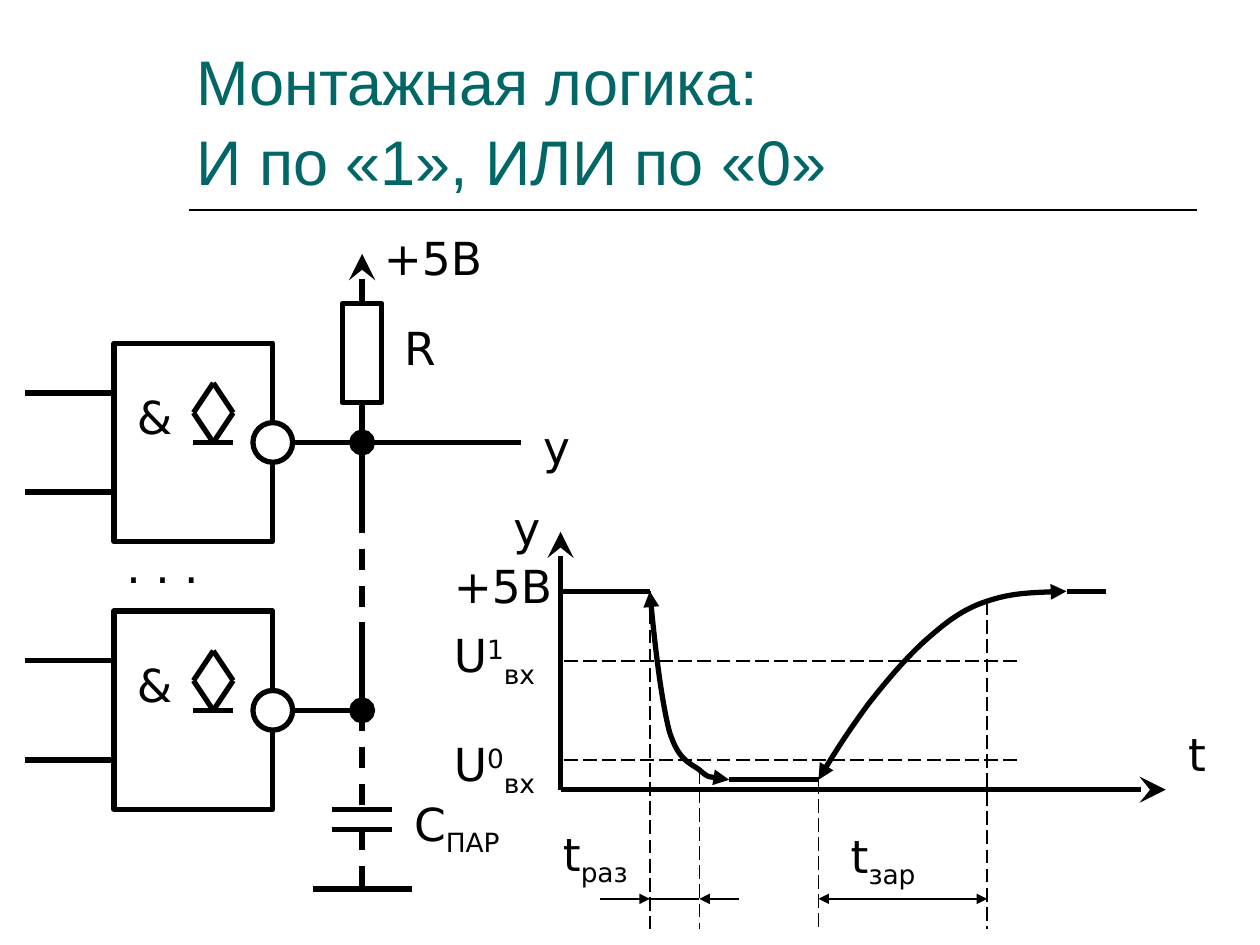
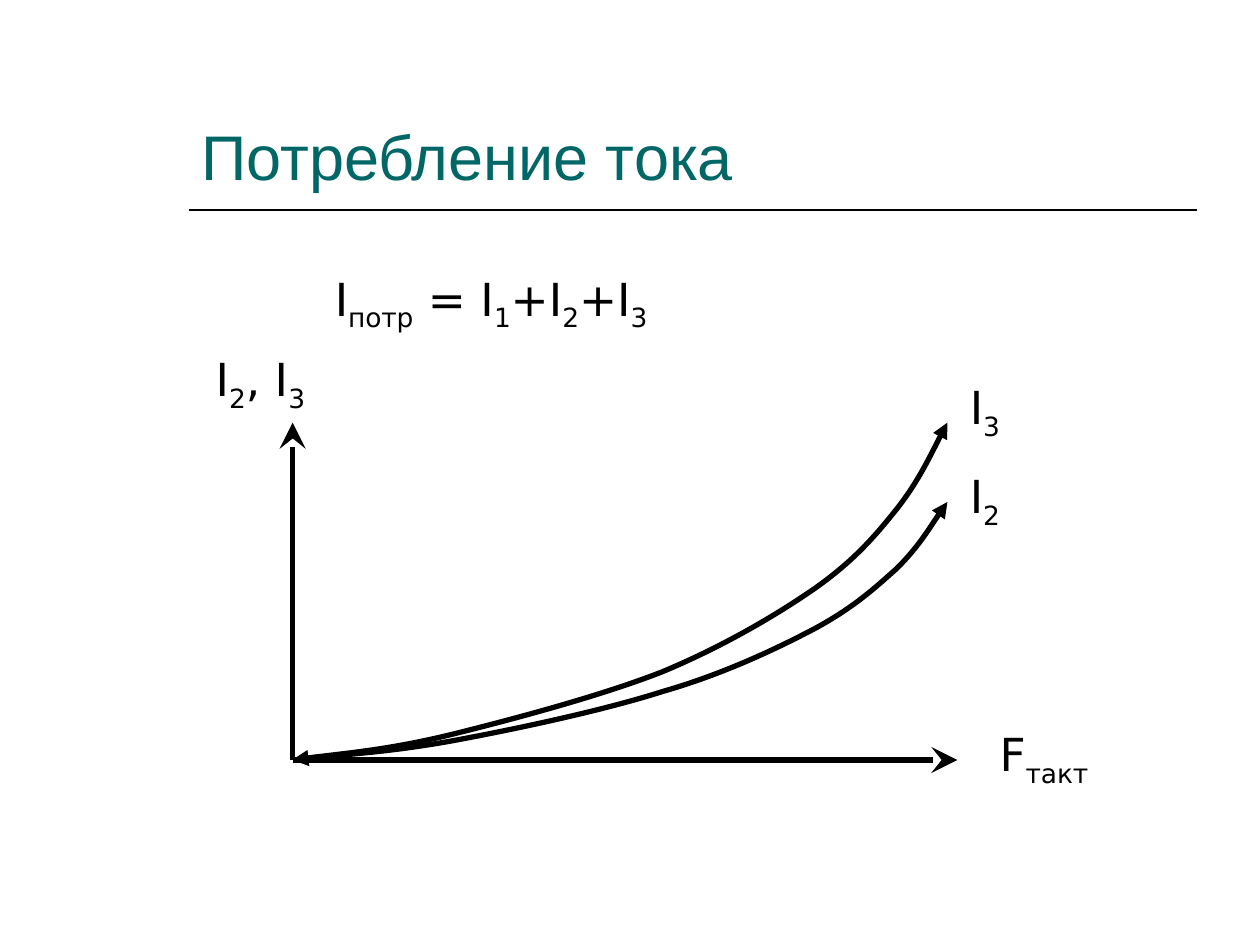
from dataclasses import dataclass
from typing import NamedTuple, Optional

from lxml.etree import SubElement
from pptx import Presentation
from pptx.dml.color import RGBColor
from pptx.enum.dml import MSO_LINE
from pptx.enum.shapes import MSO_CONNECTOR, MSO_SHAPE
from pptx.enum.text import MSO_ANCHOR, PP_ALIGN
from pptx.oxml.ns import qn
from pptx.util import Cm, Pt

BLACK = RGBColor(0x00, 0x00, 0x00)
WHITE = RGBColor(0xFF, 0xFF, 0xFF)
TEAL = RGBColor(0x00, 0x66, 0x66)
TITLE_FONT, LABEL_FONT = "Arial", "DejaVu Sans"
THICK, THIN = 3, 1
TOP, BOTTOM, RIGHT = 0, 2, 3
LARGE_ENDS = ("stealth", "oval")


class Span(NamedTuple):
    text: str
    baseline: int = 0


class Point(NamedTuple):
    x: float
    y: float


@dataclass(frozen=True)
class Label:
    left: float
    top: float
    width: float
    spans: tuple[Span, ...]


@dataclass(frozen=True)
class Wire:
    x1: float
    y1: float
    x2: float
    y2: float
    width: int = THICK
    dash: Optional[MSO_LINE] = None
    head: str = ""
    tail: str = ""


def sub(text: str) -> Span:
    return Span(text, -25000)


def sup(text: str) -> Span:
    return Span(text, 30000)


def style_line(line, width: int, head: str = "", tail: str = "") -> None:
    line.color.rgb = BLACK
    line.width = Pt(width)
    for tag, kind in (("a:headEnd", head), ("a:tailEnd", tail)):
        if kind:
            size = "lg" if kind in LARGE_ENDS else "med"
            SubElement(line._get_or_add_ln(), qn(tag), type=kind, w=size, len=size)


def draw_wire(page, wire: Wire):
    connector = page.shapes.add_connector(
        MSO_CONNECTOR.STRAIGHT, Cm(wire.x1), Cm(wire.y1), Cm(wire.x2), Cm(wire.y2))
    style_line(connector.line, wire.width, wire.head, wire.tail)
    if wire.dash is not None:
        connector.line.dash_style = wire.dash
    SubElement(connector._element.spPr, qn("a:effectLst"))
    return connector


def draw_shape(page, kind: MSO_SHAPE, left: float, top: float, width: float, height: float):
    shape = page.shapes.add_shape(kind, Cm(left), Cm(top), Cm(width), Cm(height))
    shape.shadow.inherit = False
    shape.fill.solid()
    shape.fill.fore_color.rgb = WHITE
    style_line(shape.line, THICK)
    return shape


def draw_curve(page, points: list[Point]) -> None:
    """Draw a Bezier curve: a start point, then triples of two controls and an end."""
    start, *rest = [(Cm(point.x), Cm(point.y)) for point in points]
    builder = page.shapes.build_freeform(*start)
    builder.add_line_segments(rest, close=False)
    curve = builder.convert_to_shape()
    curve.shadow.inherit = False
    curve.fill.background()
    style_line(curve.line, THICK, "triangle", "triangle")
    outline = next(curve._element.iter(qn("a:path")))
    segments = outline.findall(qn("a:lnTo"))
    for first in range(0, len(segments), 3):
        bezier = SubElement(outline, qn("a:cubicBezTo"))
        for segment in segments[first:first + 3]:
            bezier.append(segment[0])
            outline.remove(segment)


def set_font(para, name: str, size: int, color: RGBColor) -> None:
    para.font.name = name
    para.font.size = Pt(size)
    para.font.color.rgb = color


def draw_label(page, label: Label) -> None:
    height = 1.52 if len(label.spans) > 1 else 1.37
    box = page.shapes.add_textbox(Cm(label.left), Cm(label.top), Cm(label.width), Cm(height))
    box.text_frame.word_wrap = True
    para = box.text_frame.paragraphs[0]
    set_font(para, LABEL_FONT, 26, BLACK)
    for span in label.spans:
        run = para.add_run()
        run.text = span.text
        if span.baseline:
            run._r.get_or_add_rPr().set("baseline", str(span.baseline))


def add_page(deck, title: str, left: float, top: float, height: float):
    page = deck.slides.add_slide(deck.slide_layouts[6])
    draw_wire(page, Wire(3.81, 4.24, 24.13, 4.24, THIN))
    box = page.shapes.add_textbox(Cm(left), Cm(top), Cm(20.32), Cm(height))
    frame = box.text_frame
    frame.word_wrap = True
    frame.vertical_anchor = MSO_ANCHOR.BOTTOM
    frame.text = title
    para = frame.paragraphs[0]
    para.line_spacing = 1.05
    set_font(para, TITLE_FONT, 36, TEAL)
    return page


def draw_gate(page, top: float, node_x: float) -> None:
    """Draw an open-collector AND-NOT gate with its output running to the node."""
    left, width, height = 2.3, 3.2, 4.0
    middle, right = top + height / 2, left + width
    gate = draw_shape(page, MSO_SHAPE.RECTANGLE, left, top, width, height)
    frame = gate.text_frame
    frame.vertical_anchor = MSO_ANCHOR.TOP
    frame.margin_left, frame.margin_top = Cm(0.46), Cm(0.92)
    frame.text = "&"
    frame.paragraphs[0].alignment = PP_ALIGN.LEFT
    set_font(frame.paragraphs[0], LABEL_FONT, 26, BLACK)

    output = draw_wire(page, Wire(right, middle, node_x, middle, tail="oval"))
    output.begin_connect(gate, RIGHT)
    draw_shape(page, MSO_SHAPE.OVAL, right - 0.4, middle - 0.4, 0.8, 0.8)
    for offset in (1, 3):
        draw_wire(page, Wire(0.5, top + offset, left, top + offset))

    center, half_width, half_height = 4.3, 0.4, 0.6
    diamond_middle = middle - half_height
    for side in (half_width, -half_width):
        for end in (-half_height, half_height):
            draw_wire(page, Wire(center, diamond_middle + end, center + side, diamond_middle))
    draw_wire(page, Wire(center - half_width, middle, center + half_width, middle))


def draw_circuit(page) -> None:
    node_x, upper_y, lower_y = 7.3, 8.92, 14.32
    for node_y in (upper_y, lower_y):
        draw_gate(page, node_y - 2, node_x)

    resistor = draw_shape(page, MSO_SHAPE.RECTANGLE, node_x - 0.4, 6.12, 0.8, 2)
    supply = draw_wire(page, Wire(node_x, 5.12, node_x, 6.12, head="stealth"))
    supply.end_connect(resistor, TOP)
    load = draw_wire(page, Wire(node_x, 8.12, node_x, upper_y))
    load.begin_connect(resistor, BOTTOM)

    for start, end, dash in (
        (upper_y, 10.32, None),
        (10.32, 12.92, MSO_LINE.DASH),
        (12.92, lower_y, None),
        (lower_y, 16.52, MSO_LINE.DASH),
        (16.72, 17.92, MSO_LINE.DASH),
    ):
        draw_wire(page, Wire(node_x, start, node_x, end, dash=dash))
    for plate_y, half in ((16.32, 0.6), (16.72, 0.6), (17.92, 1)):
        draw_wire(page, Wire(node_x - half, plate_y, node_x + half, plate_y))
    draw_wire(page, Wire(node_x, upper_y, 10.5, upper_y))

    for label in (
        Label(7.49, 4.52, 3.2, (Span("+5В"),)),
        Label(7.9, 6.32, 3.2, (Span("R"),)),
        Label(10.7, 8.32, 1.8, (Span("y"),)),
        Label(2.3, 10.72, 3.2, (Span(". . ."),)),
        Label(8.1, 15.92, 3.2, (Span("C"), sub("ПАР"))),
    ):
        draw_label(page, label)


def draw_timing(page) -> None:
    axis_x, axis_y, high, low = 11.3, 15.92, 11.92, 15.72
    fall, fall_end, rise, rise_end = 13.1, 14.1, 16.5, 19.9
    arrow_y = 18.12
    wires = [
        Wire(axis_x, axis_y, axis_x, 10.72, tail="stealth"),
        Wire(axis_x, axis_y, 23.5, axis_y, tail="stealth"),
        Wire(axis_x, high, fall, high),
        Wire(14.7, low, rise, low),
        Wire(21.5, high, 22.3, high),
        Wire(12.1, arrow_y, fall, arrow_y, THIN, tail="triangle"),
        Wire(fall, arrow_y, fall_end, arrow_y, THIN),
        Wire(14.9, arrow_y, fall_end, arrow_y, THIN, tail="triangle"),
        Wire(rise, arrow_y, rise_end, arrow_y, THIN, head="triangle", tail="triangle"),
    ]
    wires += [Wire(x, y, x, 18.72, THIN, MSO_LINE.LONG_DASH)
              for x, y in ((fall, high), (fall_end, 15.52), (rise, low), (rise_end, 12.12))]
    wires += [Wire(20.5, y, axis_x, y, THIN, MSO_LINE.LONG_DASH) for y in (13.32, 15.32)]
    for wire in wires:
        draw_wire(page, wire)

    draw_curve(page, [
        Point(fall, high),
        Point(13.2, 13.03), Point(13.34, 14.12), Point(13.49, 14.73),
        Point(13.67, 15.32), Point(13.89, 15.37), Point(fall_end, 15.52),
        Point(14.3, 15.7), Point(14.63, low), Point(14.7, low),
    ])
    draw_curve(page, [
        Point(rise, low),
        Point(16.81, 15.19), Point(17.15, 14.68), Point(17.5, 14.2),
        Point(17.86, 13.74), Point(18.29, 13.23), Point(18.69, 12.88),
        Point(19.1, 12.52), Point(19.43, 12.27), Point(rise_end, 12.12),
        Point(20.37, 11.96), Point(20.93, 11.94), Point(21.5, high),
    ])

    for label in (
        Label(23.7, 14.52, 1.4, (Span("t"),)),
        Label(10.1, 9.95, 1.8, (Span("y"),)),
        Label(8.9, 11.12, 3.2, (Span("+5В"),)),
        Label(8.9, 12.52, 3.2, (Span("U"), sup("1"), sub("вх"))),
        Label(8.9, 14.72, 3.2, (Span("U"), sup("0"), sub("вх"))),
        Label(11.1, 16.52, 2.2, (Span("t"), sub("раз"))),
        Label(16.9, 16.56, 2.2, (Span("t"), sub("зар"))),
    ):
        draw_label(page, label)


def draw_consumption(page) -> None:
    origin = Point(5.9, 15.32)
    draw_wire(page, Wire(origin.x, 8.52, *origin, head="stealth"))
    draw_wire(page, Wire(19.3, origin.y, *origin, head="stealth"))

    curve_x = (6.88, 7.85, 9.09, 10.34, 12.14, 13.36, 14.58, 15.65,
               16.43, 17.22, 17.63, 18.08, 18.52, 18.9, 19.1)
    current_2 = (15.21, 15.16, 14.94, 14.71, 14.33, 13.94, 13.59, 13.08,
                 12.67, 12.24, 11.86, 11.46, 11.02, 10.39, 10.12)
    current_3 = (15.19, 15.11, 14.81, 14.5, 14.02, 13.54, 13.03, 12.4,
                 11.86, 11.3, 10.82, 10.26, 9.7, 8.89, 8.52)
    for curve_y in (current_2, current_3):
        draw_curve(page, [origin, *map(Point, curve_x, curve_y)])

    for label in (
        Label(6.5, 5.33, 9.8, (Span("I"), sub("потр"), Span(" = I"), sub("1"),
                               Span("+I"), sub("2"), Span("+I"), sub("3"))),
        Label(4.1, 6.96, 3.2, (Span("I"), sub("2"), Span(", I"), sub("3"))),
        Label(19.9, 14.52, 3.2, (Span("F"), sub("такт"))),
        Label(19.3, 7.52, 3.2, (Span("I"), sub("3"))),
        Label(19.3, 9.32, 3.2, (Span("I"), sub("2"))),
    ):
        draw_label(page, label)


def main() -> None:
    deck = Presentation()
    deck.slide_width, deck.slide_height = Cm(25.4), Cm(19.05)
    wired_logic = add_page(deck, "Монтажная логика:\vИ по «1», ИЛИ по «0»", 3.71, 0.13, 3.98)
    draw_circuit(wired_logic)
    draw_timing(wired_logic)
    draw_consumption(add_page(deck, "Потребление тока", 3.81, 0.84, 3.18))
    deck.save("out.pptx")


if __name__ == "__main__":
    main()
